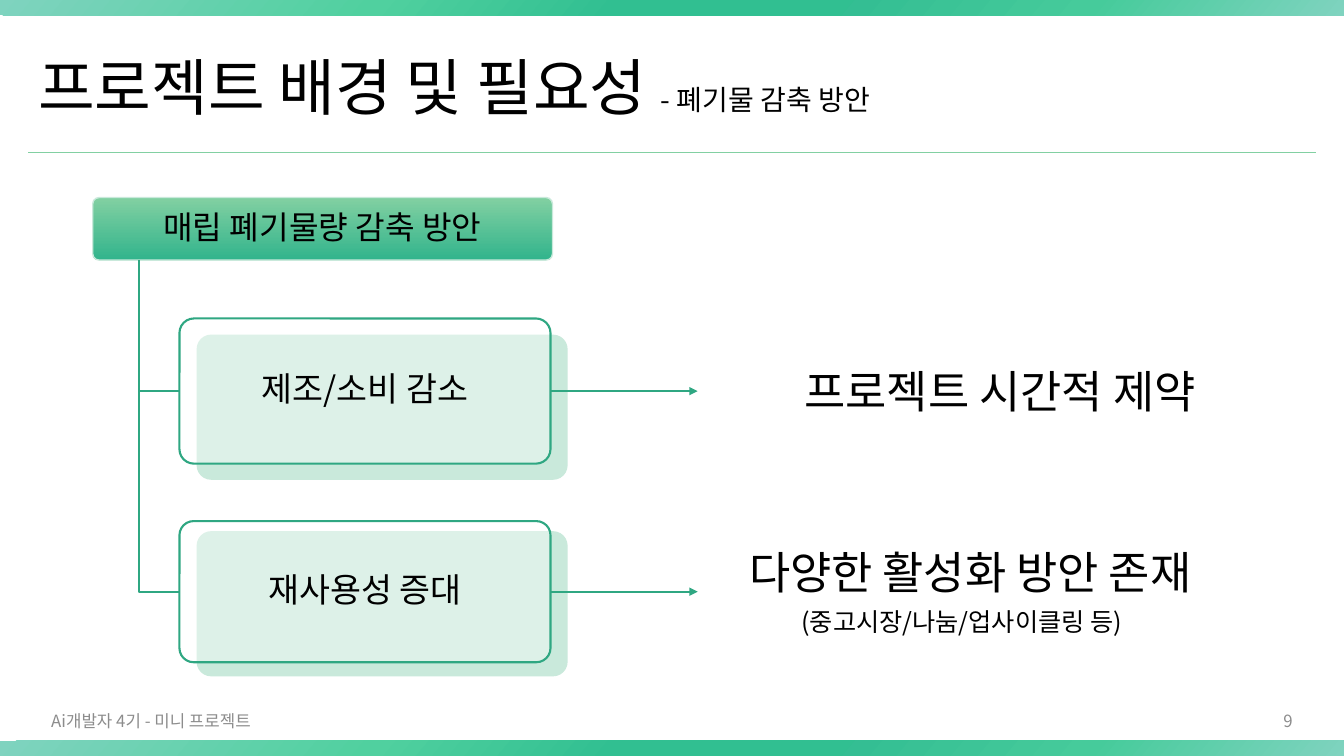
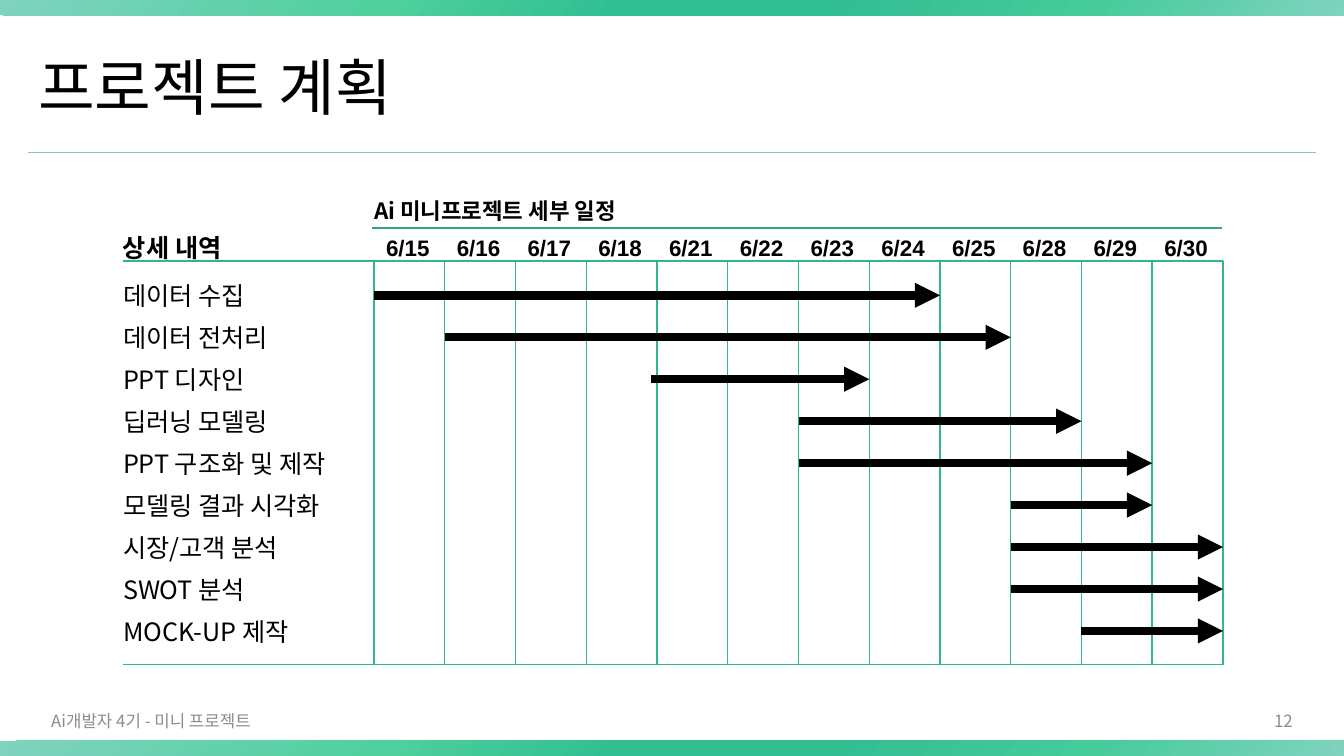
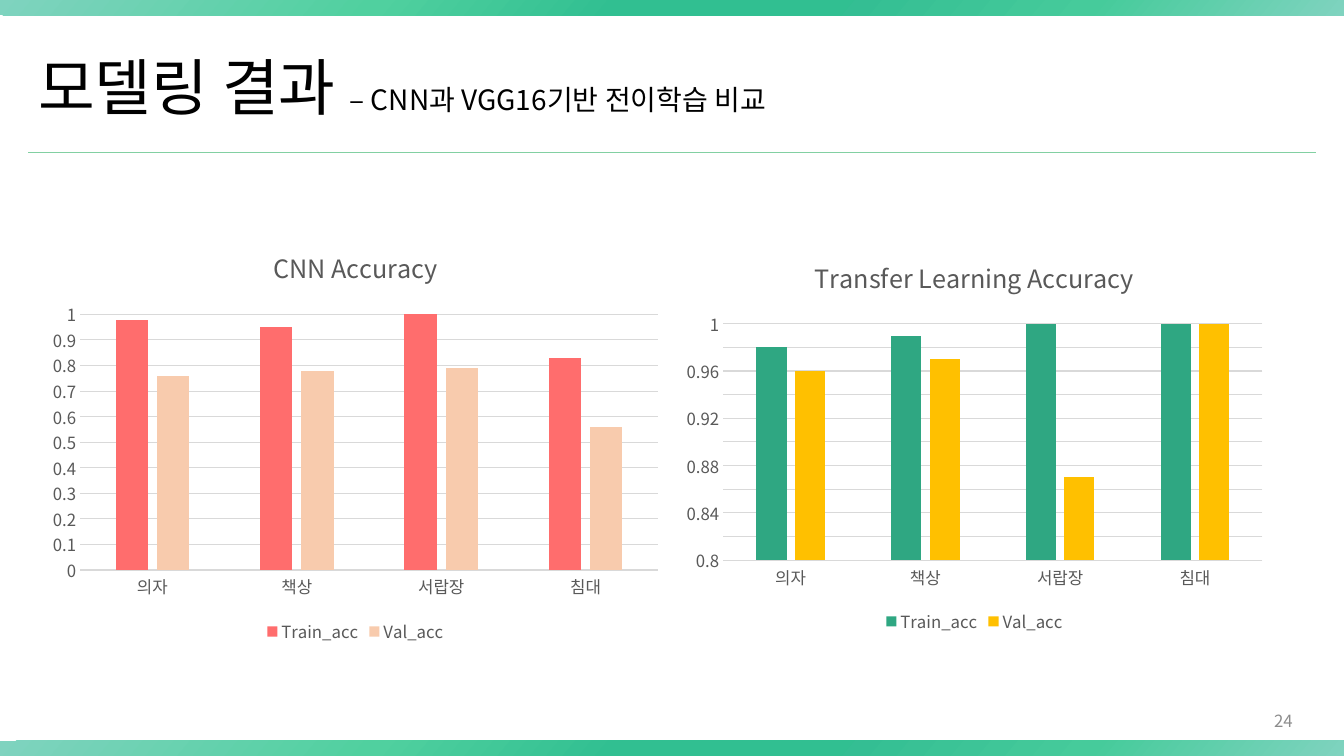
from copy import deepcopy
from dataclasses import dataclass

from lxml import etree
from pptx import Presentation
from pptx import util as u
from pptx.chart.data import CategoryChartData
from pptx.dml.color import RGBColor
from pptx.enum import chart as charts, shapes, text
from pptx.oxml.ns import qn


@dataclass(frozen=True)
class Theme:
    font: str = "Noto Sans CJK KR"
    date_font: str = "Arial"
    black: str = "000000"
    white: str = "FFFFFF"
    muted: str = "8C8C8C"
    chart_text: str = "595959"
    chart_grid: str = "D9D9D9"
    green: str = "2FA782"
    grid_green: str = "32B48C"
    light_green: str = "82D0A2"
    pale_green: str = "C9E9DB"
    coral: str = "FF6D6D"
    peach: str = "F8CBAD"
    amber: str = "FFC000"
    band: tuple = ((0, "7FD3BF"), (28, "50D09F"), (46, "31BF91"),
                   (63, "34BE93"), (81, "46CB9B"), (100, "7FD3BF"))
    title: int = 44
    statement: int = 32
    box: int = 24
    heading: int = 23
    subtitle: int = 20
    body: int = 18
    label: int = 16
    small: int = 12


THEME = Theme()
ALIGN = text.PP_ALIGN
ANCHOR = text.MSO_ANCHOR
SHAPE = shapes.MSO_SHAPE


def inches(values):
    return [u.Inches(value) for value in values]


def rgb(color):
    return RGBColor.from_string(color)


def add_east_asian_font(element):
    for latin in list(element.iter(qn("a:latin"))):
        east_asian = etree.Element(qn("a:ea"), typeface=latin.get("typeface"))
        latin.addnext(east_asian)


class Deck:
    def __init__(self, theme):
        self.theme = theme
        self.presentation = Presentation()
        self.presentation.slide_width = u.Inches(13.33)
        self.presentation.slide_height = u.Inches(7.5)
        self.layout = self.presentation.slide_layouts[5]
        self.slide = None

    def add_slide(self, title, number, subtitle="", footer=""):
        first = self.slide is None
        self.slide = self.presentation.slides.add_slide(self.layout)
        if first:
            self.decorate_layout()
        self.title(title, subtitle)
        if footer:
            self.text(footer, (0.41, 6.95, 3.15, 0.4), self.theme.small,
                      color=self.theme.muted, anchor=ANCHOR.MIDDLE)
        self.text(str(number), (9.92, 6.95, 3, 0.4), self.theme.small,
                  color=self.theme.muted, align=ALIGN.RIGHT, anchor=ANCHOR.MIDDLE)

    def decorate_layout(self):
        decorations = [self.shape(SHAPE.RECTANGLE, (0, top, 13.33, 0.15),
                                  gradient=self.theme.band, angle=40)
                       for top in (0, 7.35)]
        decorations.append(self.line((0.28, 1.51), (13.05, 1.51),
                                     self.theme.light_green, 0.75))
        for decoration in decorations:
            self.layout.shapes.element.append(decoration.element)

    def title(self, title, subtitle):
        shape = self.slide.shapes.title
        shape.left, shape.top, shape.width, shape.height = inches((0.28, 0.46, 12.77, 0.87))
        shape.text_frame.vertical_anchor = ANCHOR.MIDDLE
        paragraph = shape.text_frame.paragraphs[0]
        paragraph.alignment = ALIGN.LEFT
        paragraph.line_spacing = 0.9
        self.format_font(paragraph.font, self.theme.title)
        paragraph.add_run().text = title
        if subtitle:
            run = paragraph.add_run()
            run.text = subtitle
            run.font.size = u.Pt(self.theme.subtitle)
        add_east_asian_font(shape.element)

    def format_font(self, font, size, color=None, bold=False, name=None):
        font.name = name or self.theme.font
        font.size = u.Pt(size)
        font.bold = bold
        font.color.rgb = rgb(color or self.theme.black)

    def fill_text(self, shape, content, size, color=None, bold=False, name=None,
                  align=ALIGN.LEFT, anchor=ANCHOR.TOP, insets=(0.1, 0.05), spacing=None):
        frame = shape.text_frame
        frame.word_wrap = True
        frame.vertical_anchor = anchor
        frame.margin_left = frame.margin_right = u.Inches(insets[0])
        frame.margin_top = frame.margin_bottom = u.Inches(insets[1])
        paragraph = frame.paragraphs[0]
        paragraph.text = content
        paragraph.alignment = align
        paragraph.line_spacing = spacing
        self.format_font(paragraph.font, size, color, bold, name)
        add_east_asian_font(shape.element)

    def text(self, content, place, size, **style):
        box = self.slide.shapes.add_textbox(*inches(place))
        self.fill_text(box, content, size, **style)
        return box

    def shape(self, kind, place, fill=None, alpha=None, gradient=None, angle=90,
              line=None, width=1):
        shape = self.slide.shapes.add_shape(kind, *inches(place))
        shape.shadow.inherit = False
        if kind == SHAPE.ROUNDED_RECTANGLE:
            shape.adjustments[0] = 0.1
        if gradient:
            self.fill_gradient(shape, gradient, angle)
        elif fill:
            shape.fill.solid()
            shape.fill.fore_color.rgb = rgb(fill)
            if alpha:
                color = shape.element.spPr.find(qn("a:solidFill"))[0]
                etree.SubElement(color, qn("a:alpha"), val=str(alpha * 1000))
        else:
            shape.fill.background()
        self.outline(shape, line, width)
        return shape

    def fill_gradient(self, shape, colors, angle):
        shape.fill.gradient()
        shape.fill.gradient_angle = 360 - angle
        stops = next(shape.element.iter(qn("a:gsLst")))
        template = deepcopy(stops[0])
        for stop in list(stops):
            stops.remove(stop)
        for position, color in colors:
            stop = deepcopy(template)
            stop.set("pos", str(position * 1000))
            for child in list(stop):
                stop.remove(child)
            etree.SubElement(stop, qn("a:srgbClr"), val=color)
            stops.append(stop)

    def outline(self, shape, color, width):
        if color:
            shape.line.color.rgb = rgb(color)
            shape.line.width = u.Pt(width)
        else:
            shape.line.fill.background()

    def label_box(self, content, place, size, **style):
        box = self.shape(SHAPE.ROUNDED_RECTANGLE, place, **style)
        self.fill_text(box, content, size, align=ALIGN.CENTER, anchor=ANCHOR.MIDDLE,
                       insets=(0.05, 0.03), spacing=0.9)
        return box

    def line(self, start, end, color, width, arrow=False, source=None):
        connector = self.slide.shapes.add_connector(
            shapes.MSO_CONNECTOR.STRAIGHT, *inches(start + end))
        if source:
            connector.begin_connect(source, 3)
        self.outline(connector, color, width)
        properties = connector.element.spPr
        if arrow:
            etree.SubElement(properties.find(qn("a:ln")), qn("a:tailEnd"), type="triangle")
        etree.SubElement(properties, qn("a:effectLst"))
        return connector

    def path_line(self, points, color, width):
        corners = [inches(point) for point in points]
        builder = self.slide.shapes.build_freeform(*corners[0])
        builder.add_line_segments(corners[1:], close=False)
        shape = builder.convert_to_shape()
        shape.shadow.inherit = False
        shape.fill.background()
        self.outline(shape, color, width)

    def column_chart(self, title, place, categories, series, minimum, step):
        data = CategoryChartData()
        data.categories = categories
        for name, values, _ in series:
            data.add_series(name, values)
        chart = self.slide.shapes.add_chart(
            charts.XL_CHART_TYPE.COLUMN_CLUSTERED, *inches(place), data).chart
        small, color = self.theme.small, self.theme.chart_text
        self.format_font(chart.font, small, color)
        chart.has_title = True
        paragraph = chart.chart_title.text_frame.paragraphs[0]
        paragraph.text = title
        self.format_font(paragraph.font, self.theme.body, color)
        chart.has_legend = True
        chart.legend.position = charts.XL_LEGEND_POSITION.BOTTOM
        chart.legend.include_in_layout = False
        self.format_font(chart.legend.font, small, color)
        for axis in (chart.category_axis, chart.value_axis):
            axis.major_tick_mark = charts.XL_TICK_MARK.NONE
            axis.minor_tick_mark = charts.XL_TICK_MARK.NONE
            self.format_font(axis.tick_labels.font, small, color)
        self.outline(chart.category_axis.format, self.theme.chart_grid, 0.75)
        value_axis = chart.value_axis
        self.outline(value_axis.format, None, 0)
        value_axis.has_major_gridlines = True
        self.outline(value_axis.major_gridlines.format, self.theme.chart_grid, 0.75)
        value_axis.minimum_scale = minimum
        value_axis.maximum_scale = 1
        value_axis.major_unit = step
        plot = chart.plots[0]
        plot.gap_width = 219
        plot.overlap = -27
        plot.vary_by_categories = False
        for bars, (_, _, fill) in zip(plot.series, series):
            bars.format.fill.solid()
            bars.format.fill.fore_color.rgb = rgb(fill)
        add_east_asian_font(chart.element)


FOOTER = "Ai개발자 4기 - 미니 프로젝트"


def build_background(deck):
    theme = deck.theme
    deck.add_slide("프로젝트 배경 및 필요성 ", 9, "- 폐기물 감축 방안", FOOTER)
    deck.label_box("매립 폐기물량 감축 방안", (0.92, 1.96, 4.56, 0.62), theme.heading,
                   gradient=((0, theme.light_green), (100, theme.grid_green)),
                   line=theme.pale_green)
    measures = (("제조/소비 감소", 3.16, 1.44, 3.32), ("재사용성 증대", 5.17, 1.4, 5.27))
    for label, top, height, shadow_top in measures:
        middle = top + height / 2
        deck.shape(SHAPE.ROUNDED_RECTANGLE, (1.95, shadow_top, 3.68, 1.44),
                   fill=theme.pale_green)
        deck.path_line(((1.38, 2.58), (1.38, middle), (1.78, middle)), theme.green, 1.5)
        box = deck.label_box(label, (1.78, top, 3.68, height), theme.box,
                             fill=theme.white, alpha=38, line=theme.green, width=1.5)
        deck.line((5.46, middle), (6.92, middle), theme.green, 1.5, arrow=True, source=box)
    deck.text("프로젝트 시간적 제약", (7.58, 3.56, 4.68, 0.64), theme.statement,
              align=ALIGN.CENTER)
    deck.text("다양한 활성화 방안 존재", (6.88, 5.35, 5.49, 0.64), theme.statement,
              align=ALIGN.CENTER)
    deck.text("(중고시장/나눔/업사이클링 등)", (7.85, 5.97, 3.56, 0.4), theme.body)


def build_schedule(deck):
    theme = deck.theme
    dates = ("6/15", "6/16", "6/17", "6/18", "6/21", "6/22",
             "6/23", "6/24", "6/25", "6/28", "6/29", "6/30")
    tasks = (("데이터 수집", 0, 8), ("데이터 전처리", 1, 9), ("PPT 디자인", 3.92, 7),
             ("딥러닝 모델링", 6, 10), ("PPT 구조화 및 제작", 6, 11),
             ("모델링 결과 시각화", 9, 11), ("시장/고객 분석", 9, 12),
             ("SWOT 분석", 9, 12), ("MOCK-UP 제작", 10, 12))
    left, right, top, bottom = 3.71, 12.13, 2.59, 6.59
    column = (right - left) / len(dates)
    first_row, last_row = 2.78, 6.11
    row = (last_row - first_row) / (len(tasks) - 1)
    flush = (0, 0)

    deck.add_slide("프로젝트 계획", 12, footer=FOOTER)
    deck.text("Ai 미니프로젝트 세부 일정", (left, 1.96, 6.95, 0.27), theme.label,
              bold=True, insets=flush)
    deck.line((3.69, 2.26), (12.12, 2.26), theme.green, 1.5)
    deck.text("상세 내역", (1.22, 2.3, 2.36, 0.3), theme.body, bold=True, insets=flush)
    for y in (top, bottom):
        deck.line((1.22, y), (3.73, y), theme.grid_green, 1)
    for index, date in enumerate(dates):
        x = left + index * column
        deck.shape(SHAPE.RECTANGLE, (x, top, column, bottom - top), line=theme.grid_green)
        deck.text(date, (x + 0.02, 2.32, 0.63, 0.27), theme.label, bold=True,
                  name=theme.date_font, align=ALIGN.CENTER, insets=flush)
    for index, (task, start, end) in enumerate(tasks):
        y = first_row + index * row
        deck.text(task, (1.22, y, 2.49, 0.3), theme.body, insets=flush)
        deck.line((left + start * column, y + 0.15), (left + end * column, y + 0.15),
                  theme.black, 6, arrow=True)


def build_results(deck):
    theme = deck.theme
    categories = ("의자", "책상", "서랍장", "침대")
    deck.add_slide("모델링 결과 ", 24, "– CNN과 VGG16기반 전이학습 비교")
    deck.column_chart("CNN Accuracy", (0.4, 2.26, 6.25, 4.17), categories,
                      (("Train_acc", (0.98, 0.95, 1, 0.83), theme.coral),
                       ("Val_acc", (0.76, 0.78, 0.79, 0.56), theme.peach)), 0, 0.1)
    deck.column_chart("Transfer Learning Accuracy", (6.69, 2.36, 5.95, 3.97), categories,
                      (("Train_acc", (0.98, 0.99, 1, 1), theme.green),
                       ("Val_acc", (0.96, 0.97, 0.87, 1), theme.amber)), 0.8, 0.02)


def main():
    deck = Deck(THEME)
    build_background(deck)
    build_schedule(deck)
    build_results(deck)
    deck.presentation.save("out.pptx")


if __name__ == "__main__":
    main()
